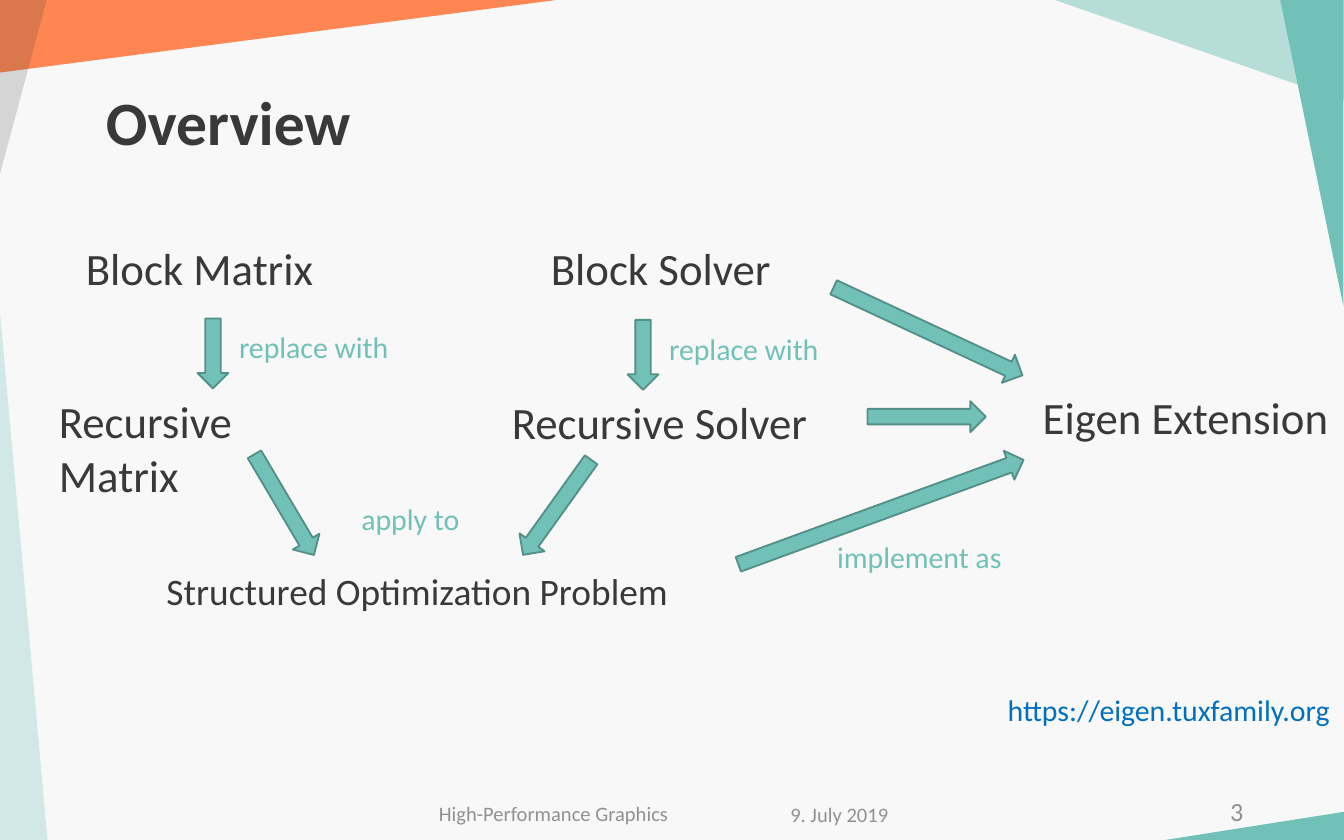
from lxml import etree
from pptx import Presentation
from pptx.dml.color import RGBColor
from pptx.enum.shapes import MSO_SHAPE as SHAPE
from pptx.enum.text import MSO_ANCHOR as ANCHOR, MSO_AUTO_SIZE as FIT, PP_ALIGN as ALIGN
from pptx.oxml.ns import qn
from pptx.util import Inches, Pt

COLORS = {
    "bg": "F8F8F8", "teal": "72C1B8", "edge": "548F88", "orange": "FF8552",
    "text": "39393A", "muted": "919191", "link": "0070C0",
}
COLUMNS, ROWS = 100, 62.5


class Deck:
    """Style and current slide, with lengths given in grid columns and rows."""

    def __init__(self, width, height, font):
        self.prs = Presentation()
        self.prs.slide_width, self.prs.slide_height = Inches(width), Inches(height)
        self.font = font
        self.s = self.prs.slides.add_slide(self.prs.slide_layouts[6])
        self.paint(self.s.background.fill, "bg")

    def box(self, x, y, w, h):
        dx, dy = self.prs.slide_width / COLUMNS, self.prs.slide_height / ROWS
        return [round(v) for v in (x * dx, y * dy, w * dx, h * dy)]

    def paint(self, fill, color):
        fill.solid()
        fill.fore_color.rgb = RGBColor.from_string(COLORS[color])

    def shape(self, kind, at, rotation, color):
        sp = self.s.shapes.add_shape(kind, *self.box(*at))
        sp.shadow.inherit = False
        sp.rotation = rotation
        self.paint(sp.fill, color)
        return sp

    def corner(self, at, rotation, apex, color, opacity=100):
        sp = self.shape(SHAPE.ISOSCELES_TRIANGLE, at, rotation, color)
        sp.adjustments[0] = apex
        sp.line.fill.background()
        if opacity < 100:
            rgb = sp.fill._xPr.find(".//" + qn("a:srgbClr"))
            etree.SubElement(rgb, qn("a:alpha")).set("val", str(opacity * 1000))

    def arrow(self, x, y, length, rotation=0):
        sp = self.shape(SHAPE.DOWN_ARROW, (x, y, 2.3, length), rotation, "teal")
        self.paint(sp.line.fill, "edge")
        sp.line.width = Pt(1)

    def text(self, text, at, size, color="text", wrap=False, align=ALIGN.LEFT,
             anchor=ANCHOR.TOP, bold=False, spacing=1.0):
        tf = self.s.shapes.add_textbox(*self.box(*at)).text_frame
        tf.text = text
        tf.word_wrap = wrap
        tf.auto_size = FIT.NONE if anchor == ANCHOR.MIDDLE else FIT.SHAPE_TO_FIT_TEXT
        tf.vertical_anchor = anchor
        p = tf.paragraphs[0]
        p.alignment, p.line_spacing = align, spacing
        r = p.runs[0]
        r.font.name, r.font.size, r.font.bold = self.font, Pt(size), bold
        r.font.color.rgb = RGBColor.from_string(COLORS[color])

    def node(self, text, x, y, w):
        self.text(text, (x, y, w, 5), 24)

    def label(self, text, x, y):
        self.text(text, (x, y, 15.1, 3.7), 16, "teal", wrap=True)

    def footer(self, text, at, size, align=ALIGN.CENTER):
        self.text(text, at, size, "muted", True, align, ANCHOR.MIDDLE)


def main():
    deck = Deck(10, 6.25, "Calibri")

    deck.corner((-18.2, 40.9, 39.9, 3.6), 90, 1, "teal", 28)
    deck.corner((92.3, 54.8, 2.1, 13.3), 270, 0, "teal")
    deck.corner((86.2, 9, 22.8, 4.7), 270, 1, "teal")
    deck.corner((85.5, -7, 7.5, 21.5), 270, 1, "teal", 49)
    deck.corner((18, -18, 5.4, 41.4), 90, 0, "orange")
    deck.corner((-0.1, -0.1, 3.6, 13.4), 180, 1, "text", 18)

    deck.text("Overview", (6.9, 3.3, 86.2, 12.1), 33, wrap=True,
              anchor=ANCHOR.MIDDLE, bold=True, spacing=0.9)
    deck.footer("3", (71, 59.5, 22.5, 1.7), 14, ALIGN.RIGHT)
    deck.footer("High-Performance Graphics", (24.3, 59.7, 33.8, 1.7), 11)
    deck.footer("9. July 2019", (51.2, 59.8, 22.5, 1.6), 11)

    deck.node("Block Matrix", 5.4, 17.4, 19.1)
    deck.node("Recursive Matrix", 3.4, 28.8, 24.2)
    deck.node("Block Solver", 40, 17.4, 18.5)
    deck.node("Recursive Solver", 37.1, 28.9, 24.2)
    deck.node("Eigen Extension", 76.6, 28.5, 23.5)
    deck.text("Structured Optimization Problem", (11.4, 41.8, 40.9, 4.4), 20)
    deck.text("https://eigen.tuxfamily.org", (74, 51, 26.3, 3.7), 16, "link")

    for x, y in ((14.7, 23.7), (46.7, 23.8)):
        deck.arrow(x, y, 5.2)
        deck.label("replace with", x + 2.1, y + 0.3)

    deck.arrow(40.3, 33.4, 8.7, 35.6)
    deck.arrow(20, 33.2, 8.7, 329.4)
    deck.label("apply to", 25.9, 36.8)

    deck.arrow(67.9, 16.9, 15.5, 295)
    deck.arrow(67.8, 26.6, 8.8, 270)
    deck.arrow(64.4, 26.8, 22.6, 249.9)
    deck.label("implement as", 61.3, 39.6)

    deck.prs.save("out.pptx")


if __name__ == "__main__":
    main()
